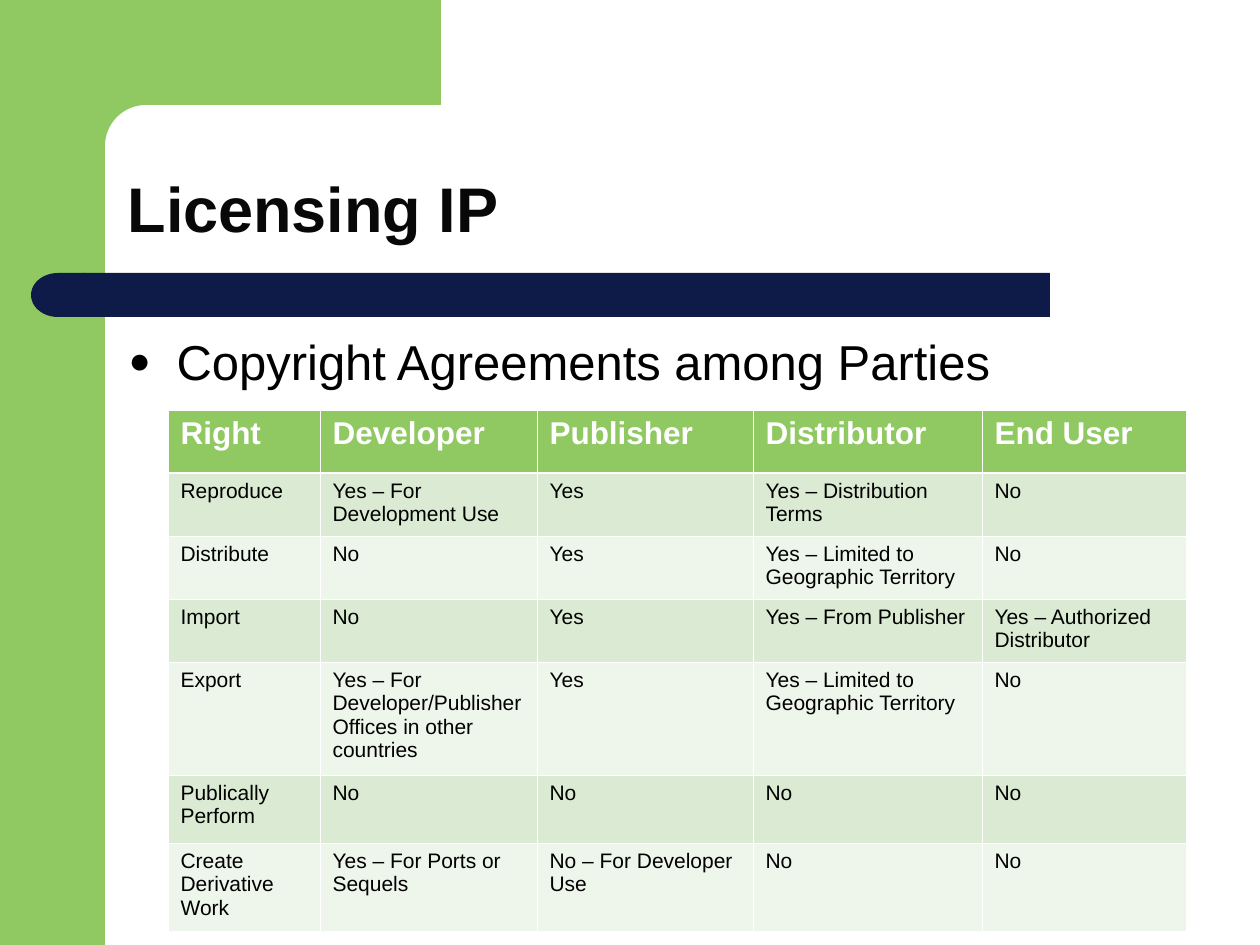
from math import cos, pi, sin

from lxml.etree import SubElement
from pptx import Presentation
from pptx.dml.color import RGBColor
from pptx.enum.shapes import MSO_SHAPE as SHAPE
from pptx.enum.text import MSO_ANCHOR as ANCHOR, MSO_AUTO_SIZE as AUTO_SIZE, PP_ALIGN as ALIGN
from pptx.oxml.ns import qn
from pptx.util import Pt

SCALE = 914400 / 126
FONT = "Arial"
COLORS = {
    "green": "90C962",
    "navy": "0E1B48",
    "title": "080808",
    "text": "000000",
    "white": "FFFFFF",
    "band_dark": "DBEBD3",
    "band_light": "EEF5EA",
}
COLUMN_WIDTHS = [152, 217, 216, 229, 204]
ROW_HEIGHTS = [63, 63, 63, 63, 113, 68, 88]
RIGHTS = [
    ["Right", "Developer", "Publisher", "Distributor", "End User"],
    ["Reproduce", "Yes – For Development Use", "Yes", "Yes – Distribution Terms", "No"],
    ["Distribute", "No", "Yes", "Yes – Limited to Geographic Territory", "No"],
    ["Import", "No", "Yes", "Yes – From Publisher", "Yes – Authorized Distributor"],
    ["Export", "Yes – For Developer/Publisher Offices in other countries", "Yes",
     "Yes – Limited to Geographic Territory", "No"],
    ["Publically Perform", "No", "No", "No", "No"],
    ["Create Derivative Work", "Yes – For Ports or Sequels", "No – For Developer Use",
     "No", "No"],
]


def px(n):
    return round(n * SCALE)


def rgb(name):
    return RGBColor.from_string(COLORS[name])


def apply_format(target, **values):
    for name, value in values.items():
        setattr(target, name, value)


def format_font(font, size, color, bold=False):
    apply_format(font, name=FONT, size=Pt(size), bold=bold)
    font.color.rgb = rgb(color)


def paint(sp, color):
    sp.shadow.inherit = False
    sp.fill.solid()
    sp.fill.fore_color.rgb = rgb(color)
    sp.line.fill.background()


def add_block(slide, kind, box, color):
    sp = slide.shapes.add_shape(kind, *map(px, box))
    paint(sp, color)
    return sp


def add_corner(slide):
    """Top band whose inner corner is a quarter circle."""
    center, radius, steps = 146, 41, 16
    angles = [pi / 2 * i / steps for i in range(steps + 1)]
    arc = [(center - radius * sin(a), center - radius * cos(a)) for a in angles]
    points = [(441, 0), (441, 105), *arc, (105, 161), (63, 161), (63, 0)]
    (x, y), *rest = [(px(x), px(y)) for x, y in points]
    builder = slide.shapes.build_freeform(x, y)
    builder.add_line_segments(rest, close=True)
    paint(builder.convert_to_shape(), "green")


def add_frame(slide):
    add_block(slide, SHAPE.RECTANGLE, (0, 0, 105, 945), "green")
    add_corner(slide)
    bar = add_block(slide, SHAPE.ROUNDED_RECTANGLE, (84, 273, 966, 44), "navy")
    bar.adjustments[0] = 0
    cap = add_block(slide, SHAPE.FLOWCHART_DELAY, (31, 273, 54, 44), "navy")
    cap.element.spPr.get_or_add_xfrm().set("flipH", "1")


def fill_placeholder(slide, sp, box, text, anchor):
    """Place the text in front of everything added so far; return its paragraph."""
    slide.shapes.element.append(sp.element)
    apply_format(sp, **dict(zip(("left", "top", "width", "height"), map(px, box))))
    tf = sp.text_frame
    tf.text = text
    apply_format(tf, word_wrap=True, auto_size=AUTO_SIZE.NONE, vertical_anchor=anchor)
    p = tf.paragraphs[0]
    apply_format(p, alignment=ALIGN.LEFT, space_before=Pt(0))
    return p


def add_bullet(p, indent):
    pPr = p._p.get_or_add_pPr()
    pPr.set("marL", str(px(indent)))
    pPr.set("indent", str(-px(indent)))
    color = SubElement(pPr, qn("a:buClr"))
    SubElement(color, qn("a:srgbClr"), val=COLORS["text"])
    SubElement(pPr, qn("a:buSzPct"), val="75000")
    SubElement(pPr, qn("a:buFont"), typeface=FONT)
    SubElement(pPr, qn("a:buChar"), char="●")


def set_borders(cell, widths):
    tcPr = cell._tc.get_or_add_tcPr()
    for side, width in widths.items():
        ln = SubElement(tcPr, qn(f"a:ln{side}"), w=str(Pt(width)))
        fill = SubElement(ln, qn("a:solidFill"))
        SubElement(fill, qn("a:srgbClr"), val=COLORS["white"])


def format_cell(cell, row):
    thin, thick = 0.45, 1.47
    set_borders(cell, {"L": thin, "R": thin,
                       "T": thick if row == 1 else thin,
                       "B": thick if row == 0 else thin})
    header = row == 0
    band = "band_dark" if row % 2 else "band_light"
    cell.fill.solid()
    cell.fill.fore_color.rgb = rgb("green" if header else band)
    font = cell.text_frame.paragraphs[0].runs[0].font
    format_font(font, 18 if header else 12, "white" if header else "text", header)


def add_rights_table(slide):
    box = (168, 410, sum(COLUMN_WIDTHS), sum(ROW_HEIGHTS))
    table = slide.shapes.add_table(len(RIGHTS), len(RIGHTS[0]), *map(px, box)).table
    for column, width in zip(table.columns, COLUMN_WIDTHS):
        column.width = px(width)
    for row, height in zip(table.rows, ROW_HEIGHTS):
        row.height = px(height)
    for r, texts in enumerate(RIGHTS):
        for c, text in enumerate(texts):
            cell = table.cell(r, c)
            cell.text = text
            format_cell(cell, r)


def main():
    prs = Presentation()
    apply_format(prs, slide_width=px(1260), slide_height=px(945))
    slide = prs.slides.add_slide(prs.slide_layouts[1])
    title, body = slide.placeholders
    add_frame(slide)

    p = fill_placeholder(slide, title, (115, 115, 1072, 137), "Licensing IP", ANCHOR.BOTTOM)
    p.line_spacing = 0.9
    format_font(p.runs[0].font, 36, "title", True)

    add_rights_table(slide)

    p = fill_placeholder(slide, body, (116, 325, 1060, 513),
                         "Copyright Agreements among Parties", ANCHOR.TOP)
    add_bullet(p, 48)
    format_font(p.runs[0].font, 28, "text")
    prs.save("out.pptx")


if __name__ == "__main__":
    main()
